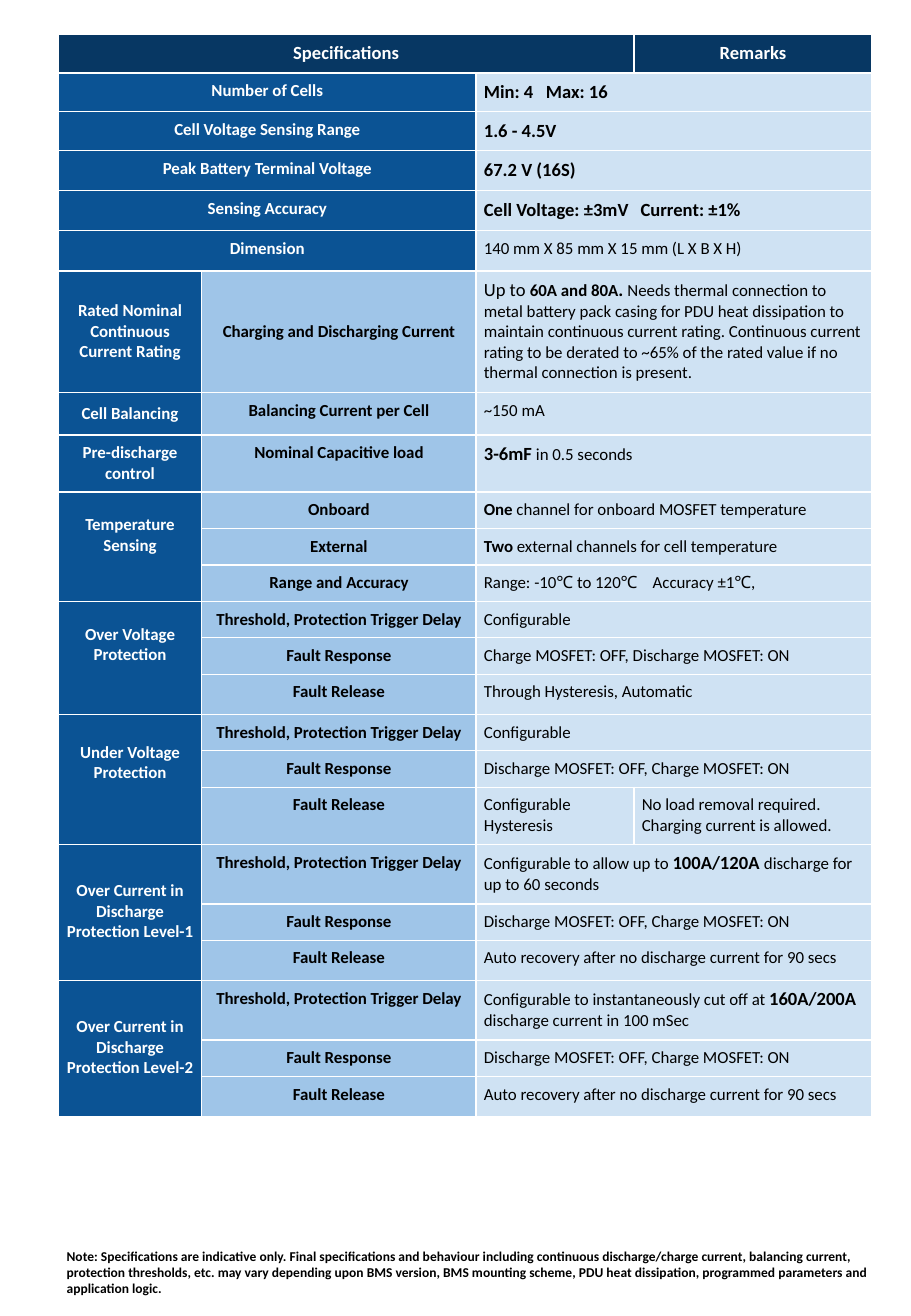
from pptx import Presentation, util as u
from pptx.dml.color import RGBColor
from pptx.enum import text
from pptx.oxml import parse_xml
from pptx.oxml.ns import nsdecls

COLOURS = {"navy": "073763", "blue": "0B5394", "sky": "9FC5E8", "pale": "CFE2F3",
           "white": "FFFFFF", "black": "000000"}
FORMATS = {
    "heading": {"size": u.Pt(11), "bold": True},
    "strong": {"size": u.Pt(11), "bold": True},
    "large": {"size": u.Pt(11), "bold": False},
    "bold": {"size": u.Pt(10), "bold": True},
    "plain": {"size": u.Pt(10), "bold": False},
    "note": {"size": u.Pt(8), "bold": True},
}
GRID_COLUMNS, GRID_ROWS = 750, 1083
TABLE_COLUMNS = [118, 226, 130, 196]

THRESHOLD, RESPONSE, RELEASE = "Threshold, Protection Trigger Delay", "Fault Response", "Fault Release"
DISCHARGE_OFF = "Discharge MOSFET: OFF, Charge MOSFET: ON"


def plain(words):
    return [(words, "plain")]


def over_current(level, action, limit, outcome):
    return (f"Over Current in Discharge Protection Level-{level}", 30, [
        (49, THRESHOLD, [(f"Configurable to {action} ", "plain"), (f"{limit} ", "strong"), (outcome, "plain")]),
        (30, RESPONSE, plain(DISCHARGE_OFF)),
        (33, RELEASE, plain("Auto recovery after no discharge current for 90 secs"))])


GENERAL = [
    (32, "Number of Cells", [("Min: 4\tMax: 16", "strong")], 51),
    (32, "Cell Voltage Sensing Range", [("1.6 - 4.5V", "strong")], None),
    (33, "Peak Battery Terminal Voltage", [("67.2 V (16S)", "strong")], None),
    (33, "Sensing Accuracy", [("Cell Voltage: ±3mV\tCurrent: ±1%", "strong")], 129),
    (33, "Dimension", plain("140 mm X 85 mm X 15 mm (L X B X H)"), None),
]
SECTIONS = [
    ("Rated Nominal Continuous Current Rating", None, [
        (100, "Charging and Discharging Current", [
            ("Up to ", "large"), ("60A and 80A", "bold"), (". ", "strong"),
            ("Needs thermal connection to metal battery pack casing for PDU heat dissipation "
             "to maintain continuous current rating. Continuous current rating to be derated "
             "to ~65% of the rated value if no thermal connection is present.", "plain")])]),
    ("Cell Balancing", None, [(35, "Balancing Current per Cell", plain("~150 mA"))]),
    ("Pre-discharge control", None, [
        (47, "Nominal Capacitive load", [("3-6mF", "strong"), (" in 0.5 seconds", "plain")])]),
    ("Temperature Sensing", 19, [
        (30, "Onboard", [("One", "bold"), (" channel for onboard MOSFET temperature", "plain")]),
        (30, "External", [("Two", "bold"), (" external channels for cell temperature", "plain")]),
        (30, "Range and Accuracy", plain("Range: -10℃ to 120℃\tAccuracy ±1℃,"))]),
    ("Over Voltage Protection", 19, [
        (30, THRESHOLD, plain("Configurable")),
        (30, RESPONSE, plain("Charge MOSFET: OFF, Discharge MOSFET: ON")),
        (33, RELEASE, plain("Through Hysteresis, Automatic"))]),
    ("Under Voltage Protection", 23, [
        (30, THRESHOLD, plain("Configurable")),
        (30, RESPONSE, plain(DISCHARGE_OFF)),
        (47, RELEASE, plain("Configurable Hysteresis"),
         plain("No load removal required. Charging current is allowed."))]),
    over_current(1, "allow up to", "100A/120A", "discharge for up to 60 seconds"),
    over_current(2, "instantaneously cut off at", "160A/200A", "discharge current in 100 mSec"),
]
NOTE = ("Note: Specifications are indicative only. Final specifications and behaviour including "
        "continuous discharge/charge current, balancing current, protection thresholds, etc. may "
        "vary depending upon BMS version, BMS mounting scheme, PDU heat dissipation, programmed "
        "parameters and application logic.")


class SpecSheet:
    font = "Calibri"
    inset = u.Pt(4.6)

    def __init__(self):
        self.deck = Presentation()
        self.deck.slide_width, self.deck.slide_height = u.Inches(7.5), u.Inches(10.83)
        self.slide = self.deck.slides.add_slide(self.deck.slide_layouts[6])

    def across(self, columns):
        return round(self.deck.slide_width * columns / GRID_COLUMNS)

    def down(self, rows):
        return round(self.deck.slide_height * rows / GRID_ROWS)

    def box(self, left, top, width, height):
        return self.across(left), self.down(top), self.across(width), self.down(height)

    def add_words(self, paragraph, runs, colour):
        for words, style in runs:
            run = paragraph.add_run()
            run.text = words
            run.font.name = self.font
            run.font.color.rgb = RGBColor.from_string(COLOURS[colour])
            for attribute, value in FORMATS[style].items():
                setattr(run.font, attribute, value)

    def table(self, left, top, widths, heights):
        frame = self.slide.shapes.add_table(
            len(heights), len(widths), *self.box(left, top, sum(widths), sum(heights)))
        self.grid = frame.table
        for column, width in zip(self.grid.columns, widths):
            column.width = self.across(width)
        for row, height in zip(self.grid.rows, heights):
            row.height = self.down(height)

    def border(self, cell):
        properties = cell._tc.get_or_add_tcPr()
        for position, side in enumerate("LRTB"):
            properties.insert(position, parse_xml(
                f'<a:ln{side} {nsdecls("a")} w="12700"><a:solidFill>'
                f'<a:srgbClr val="{COLOURS["white"]}"/></a:solidFill></a:ln{side}>'))

    def cell(self, row, column, runs, fill, colour="black", span=(1, 1),
             centred=True, middle=False, top=None, tab=None):
        last_row, last_column = row + span[0], column + span[1]
        for r in range(row, last_row):
            for c in range(column, last_column):
                part = self.grid.cell(r, c)
                part.fill.solid()
                part.fill.fore_color.rgb = RGBColor.from_string(COLOURS[fill])
                self.border(part)
        cell = self.grid.cell(row, column)
        if span != (1, 1):
            cell.merge(self.grid.cell(last_row - 1, last_column - 1))
        layout = {"margin_left": self.inset, "margin_right": self.inset, "margin_bottom": self.inset,
                  "margin_top": self.down(top) if top else self.inset,
                  "vertical_anchor": text.MSO_ANCHOR.MIDDLE if middle else text.MSO_ANCHOR.TOP}
        for attribute, value in layout.items():
            setattr(cell, attribute, value)
        paragraph = cell.text_frame.paragraphs[0]
        paragraph.alignment = text.PP_ALIGN.CENTER if centred else text.PP_ALIGN.LEFT
        if tab:
            paragraph._p.get_or_add_pPr().append(parse_xml(
                f'<a:tabLst {nsdecls("a")}><a:tab pos="{self.across(tab)}" algn="l"/></a:tabLst>'))
        self.add_words(paragraph, runs, colour)

    def note(self, words, *place):
        frame = self.slide.shapes.add_textbox(*self.box(*place)).text_frame
        frame.word_wrap = True
        frame.auto_size = text.MSO_AUTO_SIZE.SHAPE_TO_FIT_TEXT
        self.add_words(frame.paragraphs[0], [(words, "note")], "black")


def main():
    sheet = SpecSheet()
    heights = [32] + [general[0] for general in GENERAL]
    heights += [entry[0] for section in SECTIONS for entry in section[2]]
    sheet.table(48, 28, TABLE_COLUMNS, heights)
    sheet.cell(0, 0, [("Specifications", "heading")], "navy", "white", (1, 3))
    sheet.cell(0, 3, [("Remarks", "heading")], "navy", "white")
    for row, (_, label, remark, tab) in enumerate(GENERAL, 1):
        sheet.cell(row, 0, [(label, "bold")], "blue", "white", (1, 2))
        sheet.cell(row, 2, remark, "pale", span=(1, 2), centred=False, tab=tab)
    row = len(GENERAL) + 1
    for category, top, entries in SECTIONS:
        sheet.cell(row, 0, [(category, "bold")], "blue", "white",
                   (len(entries), 1), middle=top is None, top=top)
        for height, item, *remarks in entries:
            sheet.cell(row, 1, [(item, "bold")], "sky", middle=height == 100)
            width = 2 // len(remarks)
            for place, remark in enumerate(remarks):
                tab = 139 if "\t" in remark[0][0] else None
                sheet.cell(row, 2 + place, remark, "pale", span=(1, width), centred=False, tab=tab)
            row += 1
    sheet.note(NOTE, 45, 1022, 705, 50)
    sheet.deck.save("out.pptx")


if __name__ == "__main__":
    main()
